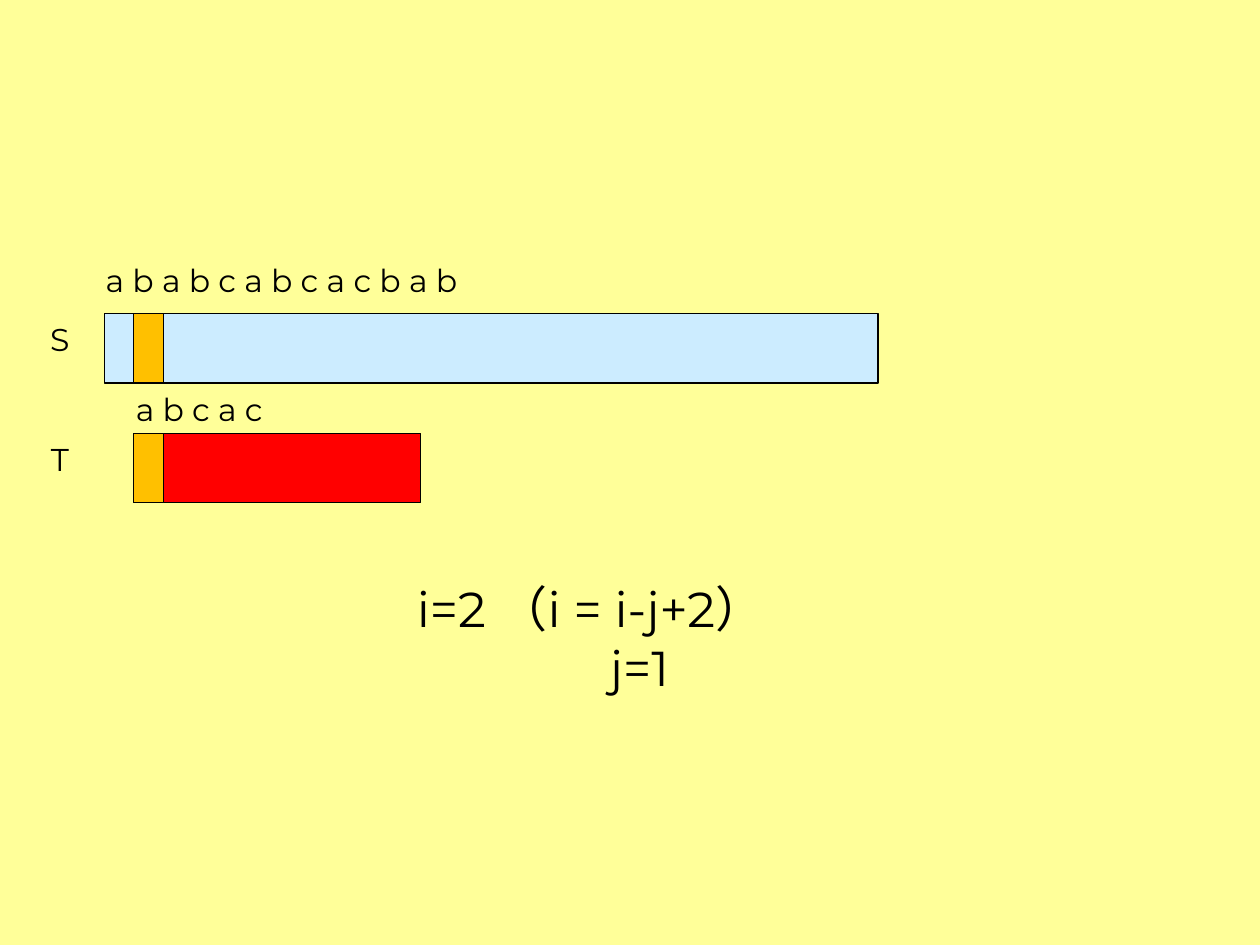
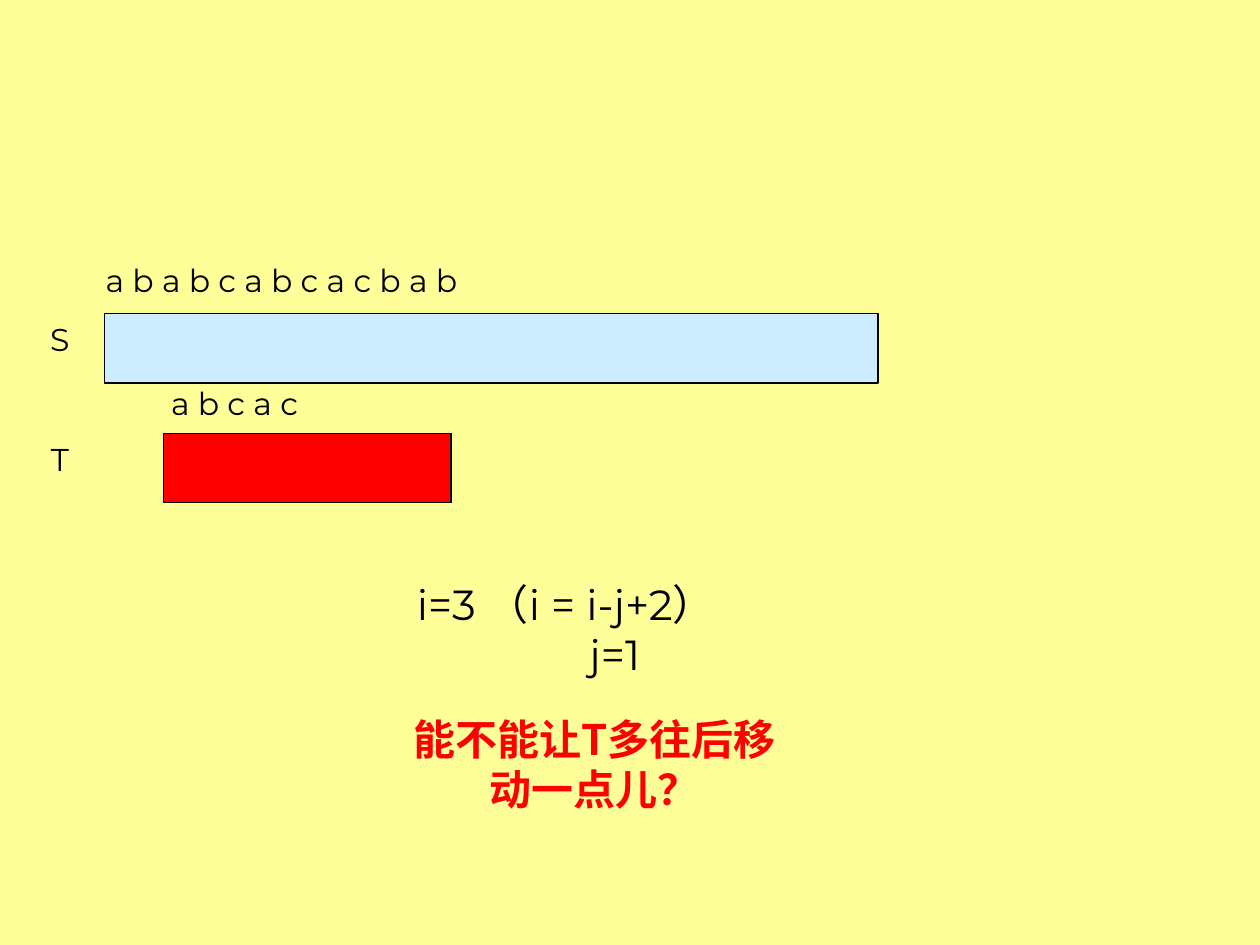
from dataclasses import dataclass
from typing import NamedTuple

from lxml import etree
from pptx import Presentation
from pptx.dml.color import RGBColor
from pptx.enum import shapes, text
from pptx.oxml.ns import qn
from pptx.slide import Slide
from pptx.text.text import TextFrame
from pptx.util import Inches, Pt


@dataclass(frozen=True)
class Theme:
    background: str = "FFFF99"
    ink: str = "000000"
    source_bar: str = "CCECFF"
    pattern_bar: str = "FF0000"
    match: str = "FFC000"
    question: str = "FF0000"
    latin: str = "Montserrat"
    chinese: str = "Noto Sans CJK SC"
    label_size: int = 18
    question_size: int = 24
    outline: float = 0.75


class Box(NamedTuple):
    left: float
    top: float
    width: float
    height: float


class Style(NamedTuple):
    size: int
    color: str
    font: str
    bold: bool = False
    align: text.PP_ALIGN = text.PP_ALIGN.CENTER
    inset: float = 0.1


class Step(NamedTuple):
    """One position of the pattern T below the source string S."""
    i: int
    pattern_letters: Box
    formula: Box
    formula_size: int
    compared: bool = False
    question: str = ""


THEME = Theme()
LABEL = Style(THEME.label_size, THEME.ink, THEME.latin)
LETTERS = LABEL._replace(align=text.PP_ALIGN.LEFT)
QUESTION = Style(THEME.question_size, THEME.question, THEME.chinese, bold=True, inset=0.15)

CELL = 0.24
BAR_HEIGHT = 0.55
SOURCE_TOP, PATTERN_TOP = 2.49, 3.44
SOURCE_BAR = Box(0.83, SOURCE_TOP, 6.14, BAR_HEIGHT)
PATTERN_WIDTH = 2.28
SECOND_CELL_LEFT = 1.06
FORMULA_INDENT = 0.1

STEPS = [
    Step(2, Box(0.98, 3.05, 6.22, 0.4), Box(3.11, 4.54, 3.93, 1.04), 28, compared=True),
    Step(3, Box(1.26, 3.0, 6.22, 0.4), Box(3.11, 4.54, 3.54, 0.91), 24,
         question="能不能让T多往后移动一点儿？"),
]


def inches(box: Box) -> list[int]:
    return [Inches(length) for length in box]


def add_bar(slide: Slide, box: Box, color: str) -> None:
    bar = slide.shapes.add_shape(shapes.MSO_SHAPE.RECTANGLE, *inches(box))
    bar.shadow.inherit = False
    bar.fill.solid()
    bar.fill.fore_color.rgb = RGBColor.from_string(color)
    bar.line.color.rgb = RGBColor.from_string(THEME.ink)
    bar.line.width = Pt(THEME.outline)


def add_text(slide: Slide, box: Box, content: str, style: Style) -> TextFrame:
    frame = slide.shapes.add_textbox(*inches(box)).text_frame
    frame.word_wrap = True
    frame.margin_left = frame.margin_right = Inches(style.inset)
    frame.text = content
    for paragraph in frame.paragraphs:
        paragraph.alignment = style.align
        for run in paragraph.runs:
            run.font.size = Pt(style.size)
            run.font.bold = style.bold
            run.font.color.rgb = RGBColor.from_string(style.color)
            run.font.name = style.font
            east_asian = etree.SubElement(run.font._element, qn("a:ea"))
            east_asian.set("typeface", THEME.chinese)
    return frame


def add_formula(slide: Slide, step: Step) -> None:
    """Write the index update above a centred reset of j."""
    style = Style(step.formula_size, THEME.ink, THEME.latin)
    frame = add_text(slide, step.formula, f"i={step.i} （i = i-j+2）\nj=1", style)
    update = frame.paragraphs[0]
    update.alignment = text.PP_ALIGN.LEFT
    update._p.get_or_add_pPr().set("marL", str(Inches(FORMULA_INDENT)))


def add_step(presentation: Presentation, step: Step) -> None:
    slide = presentation.slides.add_slide(presentation.slide_layouts[6])
    slide.background.fill.solid()
    slide.background.fill.fore_color.rgb = RGBColor.from_string(THEME.background)

    pattern_left = SECOND_CELL_LEFT + (step.i - 2) * CELL
    add_bar(slide, SOURCE_BAR, THEME.source_bar)
    add_bar(slide, Box(pattern_left, PATTERN_TOP, PATTERN_WIDTH, BAR_HEIGHT),
            THEME.pattern_bar)
    for name, top in (("S", SOURCE_TOP), ("T", PATTERN_TOP)):
        add_text(slide, Box(0.12, top, 0.71, 0.4), name, LABEL)
        if step.compared:
            add_bar(slide, Box(pattern_left, top, CELL, BAR_HEIGHT), THEME.match)

    add_formula(slide, step)
    if step.question:
        add_text(slide, Box(3.11, 5.61, 3.22, 0.91), step.question, QUESTION)
    add_text(slide, Box(0.74, 2.02, 6.22, 0.4), " ".join("ababcabcacbab"), LETTERS)
    add_text(slide, step.pattern_letters, " ".join("abcac"), LETTERS)


def main() -> None:
    presentation = Presentation()
    presentation.slide_width = Inches(10)
    presentation.slide_height = Inches(7.5)
    for step in STEPS:
        add_step(presentation, step)
    presentation.save("out.pptx")


if __name__ == "__main__":
    main()
